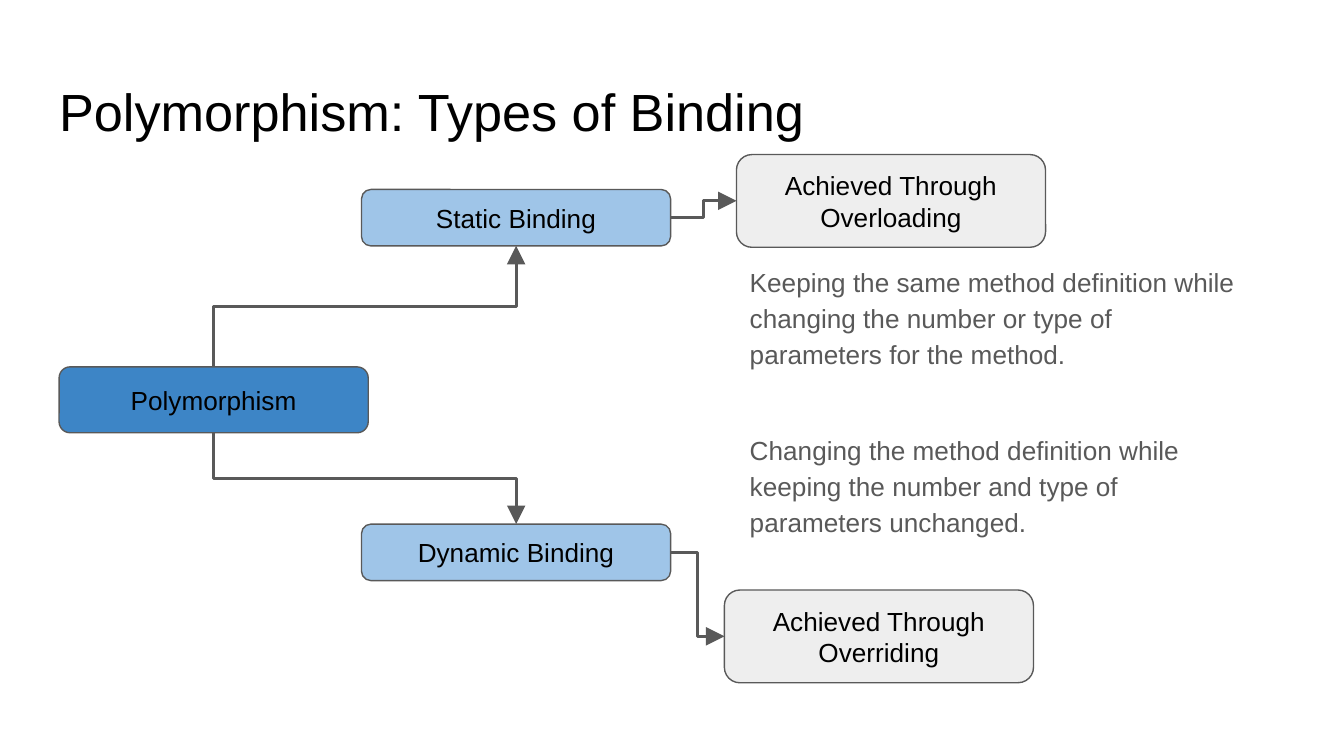
from lxml.etree import SubElement
from pptx import Presentation
from pptx.dml.color import RGBColor
from pptx.enum.shapes import MSO_CONNECTOR, MSO_SHAPE
from pptx.enum.text import MSO_ANCHOR, PP_ALIGN
from pptx.oxml.ns import qn
from pptx.util import Inches, Pt

BLACK = RGBColor(0, 0, 0)
GRAY = RGBColor(0x59, 0x59, 0x59)
PALE = RGBColor(0xEE, 0xEE, 0xEE)
BLUE = RGBColor(0x3D, 0x85, 0xC6)
SKY = RGBColor(0x9F, 0xC5, 0xE8)
TOP, LEFT, BOTTOM, RIGHT = range(4)

# Slide in the 16:9 format
deck = Presentation()
deck.slide_width = Inches(10)
deck.slide_height = deck.slide_width * 9 // 16
slide = deck.slides.add_slide(deck.slide_layouts[5])
shapes = slide.shapes


def write(shape, text, size, color, align, anchor):
    frame = shape.text_frame
    frame.text = text
    frame.word_wrap = True
    frame.vertical_anchor = anchor
    frame.margin_left = frame.margin_right = Inches(0.1)
    frame.margin_top = frame.margin_bottom = Inches(0.1)
    para = frame.paragraphs[0]
    para.alignment = align
    font = para.runs[0].font
    font.name, font.size, font.color.rgb = "Arial", Pt(size), color
    return para


def link(start, out, end, into):
    line = shapes.add_connector(MSO_CONNECTOR.ELBOW, 0, 0, 0, 0)
    line.begin_connect(start, out)
    line.end_connect(end, into)
    props = line._element.spPr
    # An elbow that leaves vertically is a level one turned by 270 degrees
    if out in (TOP, BOTTOM):
        x1, y1, x2, y2 = line.begin_x, line.begin_y, line.end_x, line.end_y
        midx, midy = (x1 + x2) // 2, (y1 + y2) // 2
        wide, high = (y2 - y1) // 2, (x2 - x1) // 2
        line.begin_x, line.end_x = midx + wide, midx - wide
        line.begin_y, line.end_y = midy - high, midy + high
        props.xfrm.set("rot", str(270 * 60000))
    line.line.color.rgb = GRAY
    line.line.width = Pt(1.5)
    SubElement(props.find(qn("a:ln")), qn("a:tailEnd"), type="triangle", w="lg", len="lg")
    SubElement(props, qn("a:effectLst"))


# Title
title = shapes.title
title.left, title.top = Inches(0.34), Inches(0.49)
title.width, title.height = Inches(9.32), Inches(0.63)
write(title, "Polymorphism: Types of Binding", 28, BLACK, PP_ALIGN.LEFT, MSO_ANCHOR.TOP)

# Explanations
notes = [
    (1.85, 1.01, "Keeping the same method definition while changing the number "
                 "or type of parameters for the method."),
    (3.1, 0.93, "Changing the method definition while keeping the number "
                "and type of parameters unchanged."),
]
for top, high, text in notes:
    box = shapes.add_textbox(Inches(5.48), Inches(top), Inches(3.81), Inches(high))
    para = write(box, text, 14, GRAY, PP_ALIGN.LEFT, MSO_ANCHOR.TOP)
    para.line_spacing = 1.15
    para.space_after = Pt(16)

# Boxes of the tree
nodes = [
    ("Polymorphism", 0.44, 2.73, 0.49, BLUE),
    ("Static Binding", 2.69, 1.41, 0.42, SKY),
    ("Dynamic Binding", 2.69, 3.9, 0.42, SKY),
    ("Achieved Through Overloading", 5.48, 1.15, 0.69, PALE),
    ("Achieved Through Overriding", 5.39, 4.39, 0.69, PALE),
]
tree = []
for text, left, top, high, fill in nodes:
    node = shapes.add_shape(MSO_SHAPE.ROUNDED_RECTANGLE, Inches(left), Inches(top),
                            Inches(2.3), Inches(high))
    node.shadow.inherit = False
    node.fill.solid()
    node.fill.fore_color.rgb = fill
    node.line.color.rgb = GRAY
    node.line.width = Pt(0.75)
    write(node, text, 14, BLACK, PP_ALIGN.CENTER, MSO_ANCHOR.MIDDLE)
    tree.append(node)

# Arrows between the boxes
root, static, dynamic, over, ride = tree
link(root, TOP, static, BOTTOM)
link(root, BOTTOM, dynamic, TOP)
link(static, RIGHT, over, LEFT)
link(dynamic, RIGHT, ride, LEFT)

deck.save("out.pptx")
